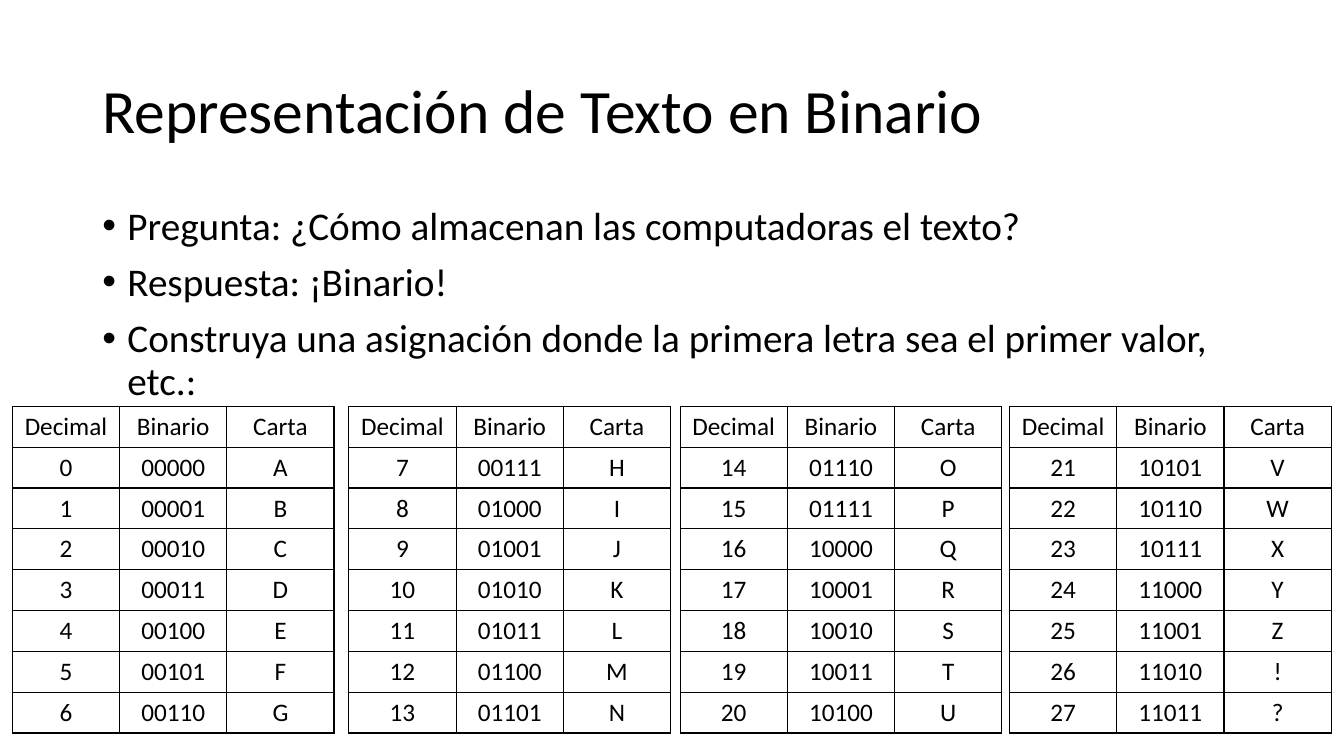
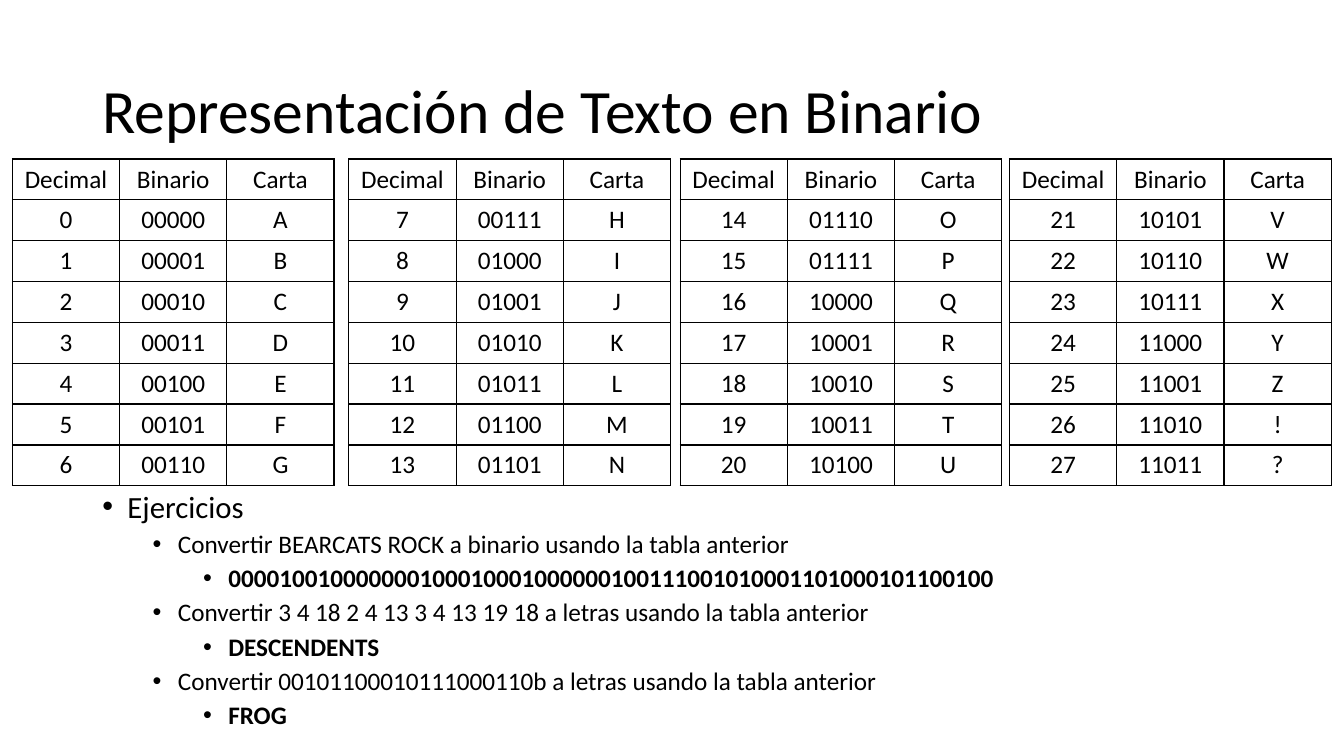
from lxml import etree
from pptx import Presentation
from pptx.dml.color import RGBColor
from pptx.enum.text import MSO_ANCHOR, PP_ALIGN
from pptx.oxml.ns import qn
from pptx.util import Pt

MIDDLE, TOP = MSO_ANCHOR.MIDDLE, MSO_ANCHOR.TOP
CENTER = PP_ALIGN.CENTER
BLACK = RGBColor(0, 0, 0)
FACE = "Calibri"

TITLE = "Representación de Texto en Binario"
TITLE_BOX = (66, 28.75, 828, 104.4)
HEADS = ("Decimal", "Binario", "Carta")
LETTERS = "ABCDEFGHIJKLMNOPQRSTUVWXYZ!?"
LEFTS = (8.85, 249.2, 485.8, 721.1)
COL, ROW = 76.6, 29.17
PER_TABLE = 7

INTRO = (
    (0, 28, "Pregunta: ¿Cómo almacenan las computadoras el texto?"),
    (0, 28, "Respuesta: ¡Binario!"),
    (0, 28, "Construya una asignación donde la primera letra sea el primer valor, etc.:"),
)
TASKS = (
    (0, 22, "Ejercicios"),
    (1, 18, "Convertir BEARCATS ROCK a binario usando la tabla anterior"),
    (2, 18, "000010010000000100010001000000100111001010001101000101100100"),
    (1, 18, "Convertir 3 4 18 2 4 13 3 4 13 19 18 a letras usando la tabla anterior"),
    (2, 18, "DESCENDENTS"),
    (1, 18, "Convertir 00101100010111000110b a letras usando la tabla anterior"),
    (2, 18, "FROG"),
)


def style(para, size, bold=False):
    font = para.font
    font.name, font.size, font.bold = FACE, Pt(size), bold
    font.color.rgb = BLACK


def add_frame(slide, box, anchor):
    frame = slide.shapes.add_textbox(*map(Pt, box)).text_frame
    frame.word_wrap = True
    frame.vertical_anchor = anchor
    return frame


def add_title(slide):
    para = add_frame(slide, TITLE_BOX, MIDDLE).paragraphs[0]
    para.text = TITLE
    para.line_spacing = 0.9
    style(para, 44)


def add_bullet(para, level):
    props = para._p.get_or_add_pPr()
    props.set("marL", str(Pt(18 + 36 * level)))
    props.set("indent", str(Pt(-18)))
    etree.SubElement(props, qn("a:buFont")).set("typeface", "Arial")
    etree.SubElement(props, qn("a:buChar")).set("char", "•")


def add_list(slide, box, items):
    """Each item is (level, size, text); the third level holds bold answers."""
    frame = add_frame(slide, box, TOP)
    for i, (level, size, text) in enumerate(items):
        para = frame.add_paragraph() if i else frame.paragraphs[0]
        para.text = text
        para.level = level
        para.line_spacing = 0.9
        if i:
            para.space_before = Pt(5 if level else 10)
        style(para, size, level == 2)
        add_bullet(para, level)


def add_border(cell):
    props = cell._tc.get_or_add_tcPr()
    for side in ("lnL", "lnR", "lnT", "lnB"):
        line = etree.SubElement(props, qn("a:" + side), w=str(Pt(1)))
        fill = etree.SubElement(line, qn("a:solidFill"))
        etree.SubElement(fill, qn("a:srgbClr")).set("val", str(BLACK))


def add_codes(slide, left, top, first):
    """Table of codes that starts at the number first."""
    rows = [HEADS] + [
        (str(n), format(n, "05b"), LETTERS[n])
        for n in range(first, first + PER_TABLE)
    ]
    size = (COL * len(HEADS), ROW * len(rows))
    table = slide.shapes.add_table(
        len(rows), len(HEADS), Pt(left), Pt(top), *map(Pt, size)).table
    table.first_row = table.horz_banding = False
    for col in table.columns:
        col.width = Pt(COL)
    for r, row in enumerate(rows):
        table.rows[r].height = Pt(ROW)
        for c, text in enumerate(row):
            cell = table.cell(r, c)
            add_border(cell)
            cell.fill.background()
            para = cell.text_frame.paragraphs[0]
            para.text = text
            para.alignment = CENTER
            style(para, 18)


def add_slide(deck, box, items, top):
    slide = deck.slides.add_slide(deck.slide_layouts[6])
    add_title(slide)
    add_list(slide, box, items)
    for i, left in enumerate(LEFTS):
        add_codes(slide, left, top, i * PER_TABLE)


def main():
    deck = Presentation()
    deck.slide_width, deck.slide_height = Pt(960), Pt(540)
    add_slide(deck, (66, 143.75, 808.5, 380), INTRO, 290.2)
    add_slide(deck, (66, 347.5, 808.5, 176), TASKS, 113.6)
    deck.save("out.pptx")


if __name__ == "__main__":
    main()
